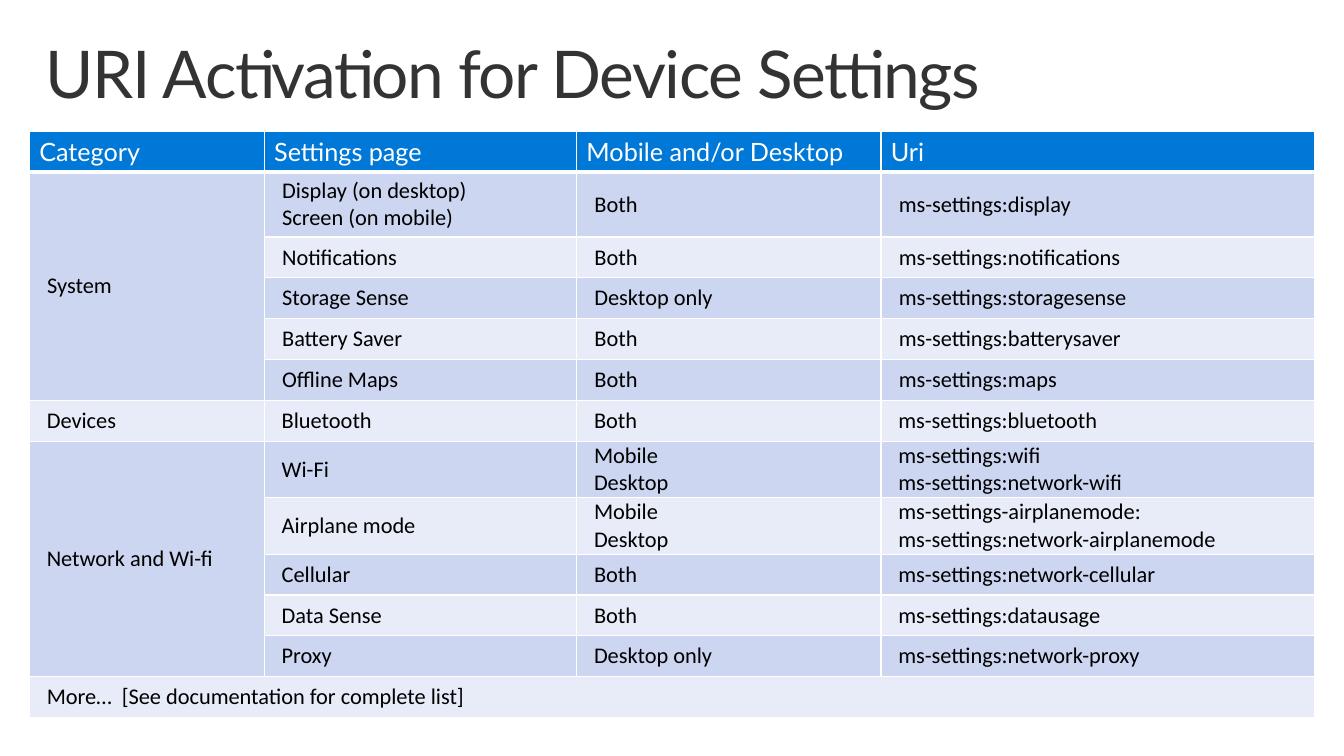
"""Build a slide with a table of device settings and their URIs."""
from typing import NamedTuple

from pptx import Presentation
from pptx.dml.color import RGBColor
from pptx.enum.text import MSO_ANCHOR as Anchor, MSO_AUTO_SIZE as Fit, PP_ALIGN as Align
from pptx.oxml import parse_xml
from pptx.oxml.ns import nsdecls
from pptx.table import _Cell as Cell
from pptx.util import Cm, Pt

WHITE = RGBColor(0xFF, 0xFF, 0xFF)
BLACK = RGBColor(0x00, 0x00, 0x00)
GREY = RGBColor(0x33, 0x33, 0x33)
BLUE = RGBColor(0x00, 0x78, 0xD7)
DARK = RGBColor(0xCC, 0xD6, 0xF0)
LIGHT = RGBColor(0xE7, 0xEC, 0xF8)

LEFT = Cm(0.74)
ROW = Cm(1.03)
WIDTHS = (Cm(5.92), Cm(7.87), Cm(7.67), Cm(10.92))


class Look(NamedTuple):
    font: str
    size: int
    color: RGBColor
    side: Cm
    edge: Cm
    indent: Cm
    rule: int


class Page(NamedTuple):
    name: str
    device: str
    uri: str


class Group(NamedTuple):
    name: str
    look: Look
    pages: tuple[Page, ...]


HEAD = Look("Lato", 18, WHITE, Cm(0.25), Cm(0.13), Cm(0), 3)
ROOMY = Look("Calibri", 16, BLACK, Cm(0.25), Cm(0.13), Cm(0.2), 1)
TIGHT = Look("Calibri", 16, BLACK, Cm(0.03), Cm(0.02), Cm(0.41), 1)

TITLES = ("Category", "Settings page", "Mobile and/or Desktop", "Uri")
GROUPS = (
    Group("System", ROOMY, (
        Page("Display (on desktop)\nScreen (on mobile)", "Both", "ms-settings:display"),
        Page("Notifications", "Both", "ms-settings:notifications"),
        Page("Storage Sense", "Desktop only", "ms-settings:storagesense"),
        Page("Battery Saver", "Both", "ms-settings:batterysaver"),
        Page("Offline Maps", "Both", "ms-settings:maps"),
    )),
    Group("Devices", TIGHT, (
        Page("Bluetooth", "Both", "ms-settings:bluetooth"),
    )),
    Group("Network and Wi-fi", TIGHT, (
        Page("Wi-Fi", "Mobile\nDesktop", "ms-settings:wifi\nms-settings:network-wifi"),
        Page("Airplane mode", "Mobile\nDesktop",
             "ms-settings-airplanemode:\nms-settings:network-airplanemode"),
        Page("Cellular", "Both", "ms-settings:network-cellular"),
        Page("Data Sense", "Both", "ms-settings:datausage"),
        Page("Proxy", "Desktop only", "ms-settings:network-proxy"),
    )),
)
MORE = "More…  [See documentation for complete list]"


def add_rules(cell: Cell, base: int) -> None:
    props = cell._tc.get_or_add_tcPr()
    for side, width in zip("LRTB", (1, 1, 1, base)):
        props.append(parse_xml(
            f'<a:ln{side} {nsdecls("a")} w="{Pt(width)}"><a:solidFill>'
            f'<a:srgbClr val="{WHITE}"/></a:solidFill></a:ln{side}>'))


def fill_cell(cell: Cell, text: str, look: Look, fill: RGBColor) -> None:
    add_rules(cell, look.rule)
    cell.fill.solid()
    cell.fill.fore_color.rgb = fill
    cell.vertical_anchor = Anchor.MIDDLE
    cell.margin_left = cell.margin_right = look.side
    cell.margin_top = cell.margin_bottom = look.edge
    cell.text_frame.text = text
    for para in cell.text_frame.paragraphs:
        para._p.get_or_add_pPr().set("marL", str(look.indent))
        para.font.size = Pt(look.size)
        for run in para.runs:
            run.font.name = look.font
            run.font.size = Pt(look.size)
            run.font.bold = False
            run.font.color.rgb = look.color


def add_title(slide) -> None:
    title = slide.shapes.title
    title.left, title.top = LEFT, Cm(0.81)
    title.width, title.height = Cm(32.38), Cm(2.49)
    frame = title.text_frame
    frame.text = "URI Activation for Device Settings"
    frame.auto_size = Fit.NONE
    frame.word_wrap = True
    frame.vertical_anchor = Anchor.TOP
    frame.margin_left = frame.margin_right = Cm(0.41)
    frame.margin_top = frame.margin_bottom = Cm(0.25)
    para = frame.paragraphs[0]
    para.alignment = Align.LEFT
    para.line_spacing = 0.9
    font = para.runs[0].font
    font.name, font.size = "Lato", Pt(47)
    font.color.rgb = GREY
    font._element.set("spc", "-100")


def add_grid(slide) -> None:
    count = 2 + sum(len(group.pages) for group in GROUPS)
    grid = slide.shapes.add_table(
        count, len(WIDTHS), LEFT, Cm(3.3), sum(WIDTHS), ROW * count).table
    for col, width in zip(grid.columns, WIDTHS):
        col.width = width
    for row in grid.rows:
        row.height = ROW

    lines = [(TITLES, HEAD)]
    for group in GROUPS:
        first = len(lines)
        for page in group.pages:
            name = "" if len(lines) > first else group.name
            lines.append(((name, *page), group.look))
        if len(group.pages) > 1:
            grid.cell(first, 0).merge(grid.cell(len(lines) - 1, 0))
    lines.append(((MORE, "", "", ""), TIGHT))
    grid.cell(count - 1, 0).merge(grid.cell(count - 1, len(WIDTHS) - 1))

    for i, (texts, look) in enumerate(lines):
        fill = BLUE if i == 0 else DARK if i % 2 else LIGHT
        for j, text in enumerate(texts):
            fill_cell(grid.cell(i, j), text, look, fill)


def main() -> None:
    deck = Presentation()
    deck.slide_width, deck.slide_height = Cm(33.87), Cm(19.05)
    slide = deck.slides.add_slide(deck.slide_layouts[5])
    add_title(slide)
    add_grid(slide)
    deck.save("out.pptx")


if __name__ == "__main__":
    main()
